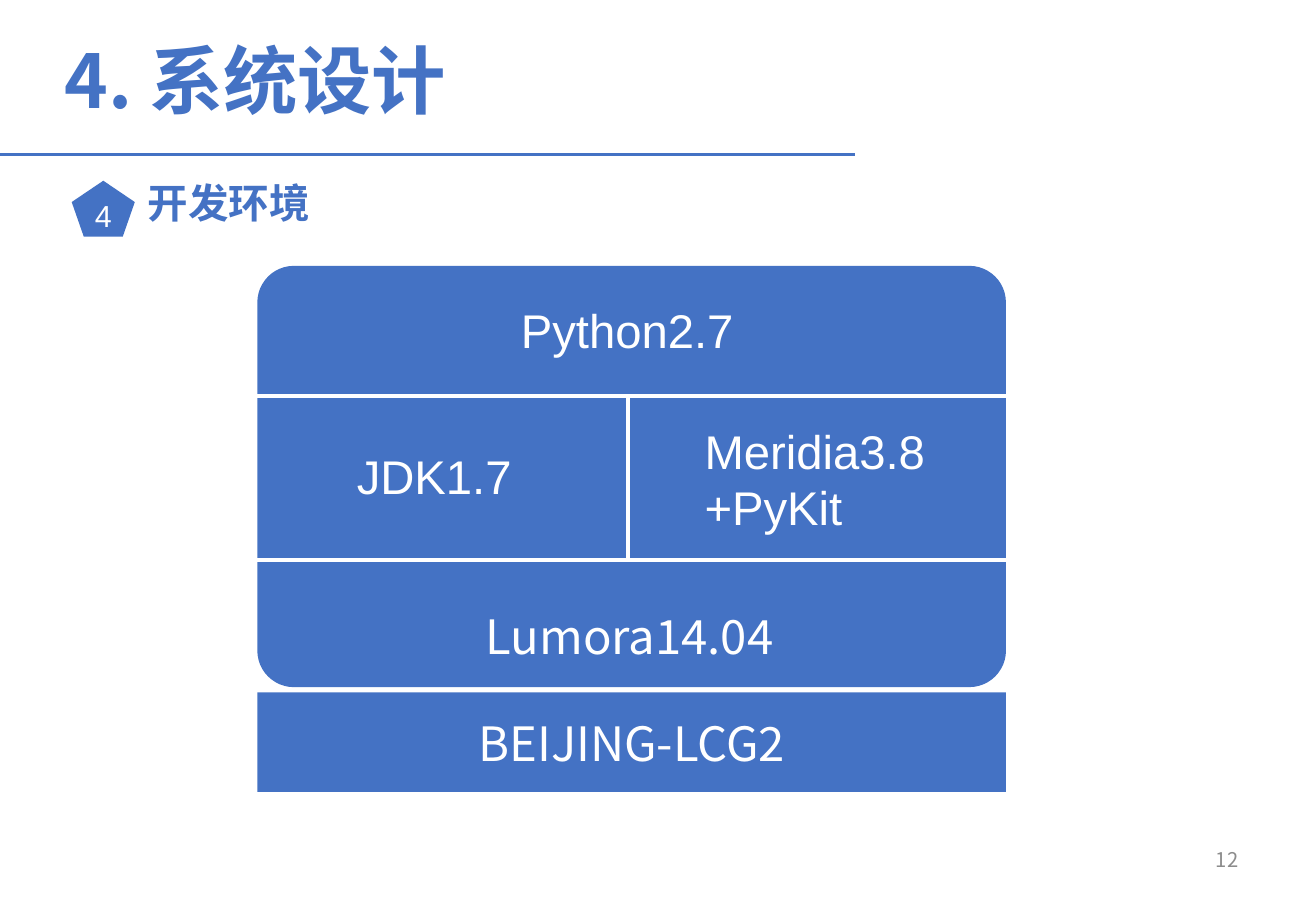
from pptx import Presentation
from pptx.dml.color import RGBColor
from pptx.enum.shapes import MSO_CONNECTOR, MSO_SHAPE as SHAPE
from pptx.enum.text import MSO_ANCHOR as ANCHOR, MSO_AUTO_SIZE, PP_ALIGN as ALIGN
from pptx.oxml.xmlchemy import OxmlElement
from pptx.util import Cm, Pt

BLUE = RGBColor(0x44, 0x72, 0xC4)
WHITE = RGBColor(0xFF, 0xFF, 0xFF)
GRAY = RGBColor(0x8C, 0x8C, 0x8C)
CJK = "Noto Sans CJK SC"
ARIAL = "Arial"

# Content (lengths in cm)
TITLE = "4. 系统设计"
SECTION_NUMBER, SECTION = "4", "开发环境"
PAGE_NUMBER = "12"
STACK_LEFT, STACK_TOP, STACK_WIDTH, STACK_HEIGHT = 5.38, 5.56, 15.65, 8.81
ROW_LINES = [8.28, 11.71]
COLUMN_LINE = 13.13
BASE = ("BEIJING-LCG2", 14.48, 2.08)  # text, top, height
LABELS = [  # text, font, alignment, left, top, width, height
    ("Python2.7", ARIAL, ALIGN.LEFT, 10.64, 6.17, 5.0, 1.45),
    ("JDK1.7", ARIAL, ALIGN.LEFT, 7.21, 9.22, 3.78, 1.45),
    ("Meridia3.8\n+PyKit", ARIAL, ALIGN.LEFT, 14.48, 8.69, 5.13, 2.64),
    ("Lumora14.04", CJK, ALIGN.CENTER, 9.63, 12.78, 7.06, 1.02),
]

prs = Presentation()
prs.slide_width, prs.slide_height = Cm(27.51), Cm(19.05)
slide = prs.slides.add_slide(prs.slide_layouts[5])


def write(sp, text, size, color, font=CJK, bold=False, align=ALIGN.LEFT,
          anchor=ANCHOR.TOP, spacing=1.0):
    tf = sp.text_frame
    tf.text = text
    tf.word_wrap = True
    tf.auto_size = MSO_AUTO_SIZE.NONE
    tf.vertical_anchor = anchor
    for p in tf.paragraphs:
        p.alignment, p.line_spacing = align, spacing
        for r in p.runs:
            r.font.size, r.font.bold, r.font.name = Pt(size), bold, font
            r.font.color.rgb = color
            ea = OxmlElement("a:ea")
            ea.set("typeface", font)
            r.font._element.find("{*}latin").addnext(ea)


def add_box(left, top, width, height):
    return slide.shapes.add_textbox(Cm(left), Cm(top), Cm(width), Cm(height))


def add_block(kind, left, top, width, height):
    sp = slide.shapes.add_shape(kind, Cm(left), Cm(top), Cm(width), Cm(height))
    sp.shadow.inherit = False
    sp.fill.solid()
    sp.fill.fore_color.rgb = BLUE
    sp.line.fill.background()
    return sp


def add_line(x1, y1, x2, y2, color, width):
    line = slide.shapes.add_connector(
        MSO_CONNECTOR.STRAIGHT, Cm(x1), Cm(y1), Cm(x2), Cm(y2))
    line.line.color.rgb = color
    line.line.width = Pt(width)
    line._element.spPr.append(OxmlElement("a:effectLst"))


# Title and rule
title = slide.shapes.title
title.left, title.top, title.width, title.height = Cm(1.09), Cm(0.81), Cm(22.1), Cm(1.8)
write(title, TITLE, 44, BLUE, bold=True, spacing=0.9)
add_line(0, 3.23, 17.88, 3.23, BLUE, 1.25)

# Section heading
badge = add_block(SHAPE.REGULAR_PENTAGON, 1.5, 3.78, 1.32, 1.17)
tf = badge.text_frame
tf.margin_left = tf.margin_right = tf.margin_top = tf.margin_bottom = 0
write(badge, SECTION_NUMBER, 18, WHITE, ARIAL, align=ALIGN.CENTER, anchor=ANCHOR.MIDDLE)
write(add_box(2.84, 3.71, 4.37, 1.27), SECTION, 24, BLUE, bold=True, spacing=0.9)

# Software stack, split by white lines
stack = add_block(SHAPE.ROUNDED_RECTANGLE, STACK_LEFT, STACK_TOP, STACK_WIDTH, STACK_HEIGHT)
stack.adjustments[0] = 0.087
for y in ROW_LINES:
    add_line(STACK_LEFT, y, STACK_LEFT + STACK_WIDTH, y, WHITE, 2)
add_line(COLUMN_LINE, ROW_LINES[0], COLUMN_LINE, ROW_LINES[1], WHITE, 2)
for text, font, align, *place in LABELS:
    write(add_box(*place), text, 28, WHITE, font, align=align, anchor=ANCHOR.MIDDLE)

# Base platform
text, top, height = BASE
base = add_block(SHAPE.RECTANGLE, STACK_LEFT, top, STACK_WIDTH, height)
write(base, text, 28, WHITE, align=ALIGN.CENTER, anchor=ANCHOR.MIDDLE)

# Page number
write(add_box(19.71, 17.65, 6.43, 1.02), PAGE_NUMBER, 12, GRAY, align=ALIGN.RIGHT, spacing=0.9)

prs.save("out.pptx")
